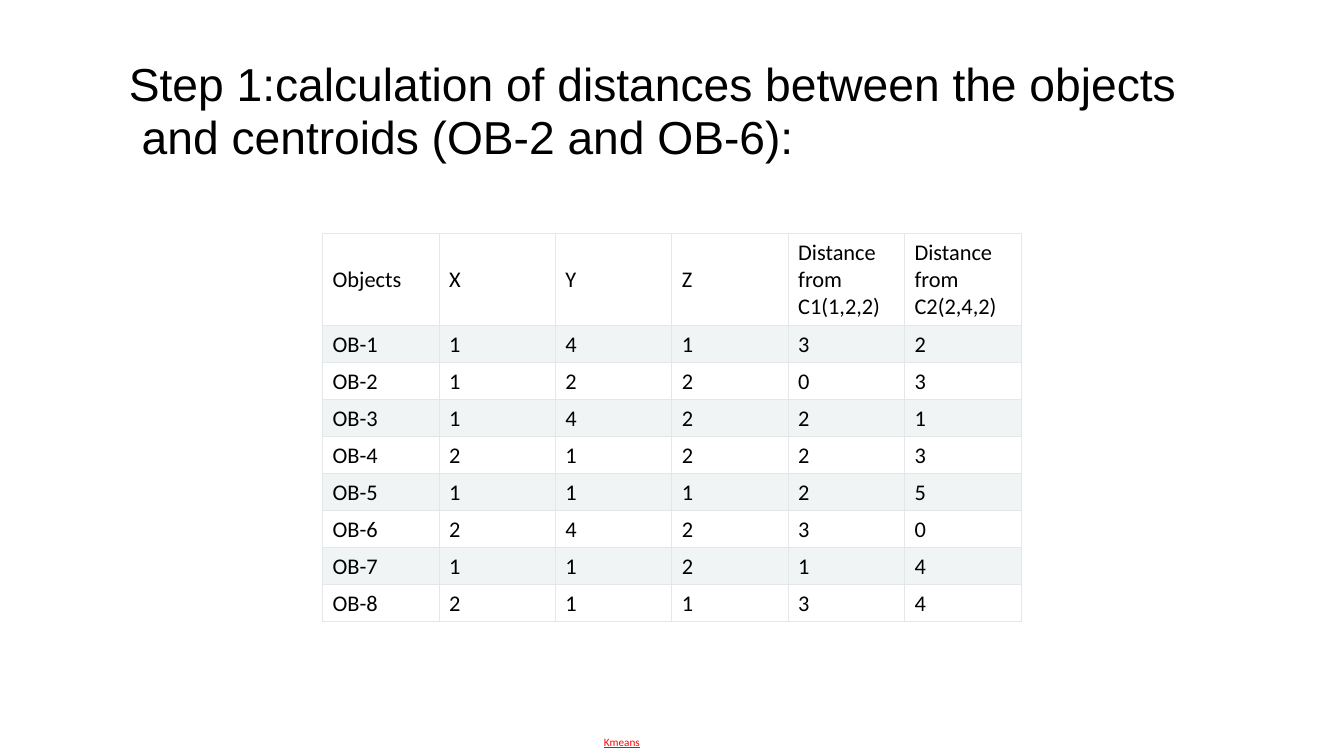
"""Build the K-means step 1 slide with its distance table."""
from lxml import etree
from pptx import Presentation
from pptx.dml.color import RGBColor
from pptx.enum.text import MSO_ANCHOR, PP_ALIGN
from pptx.oxml.ns import qn
from pptx.util import Cm, Pt

MIDDLE = MSO_ANCHOR.MIDDLE
LEFT, CENTER = PP_ALIGN.LEFT, PP_ALIGN.CENTER
BLACK = RGBColor(0x00, 0x00, 0x00)
WHITE = RGBColor(0xFF, 0xFF, 0xFF)
RED = RGBColor(0xFF, 0x00, 0x00)
BAND = RGBColor(0xF0, 0xF4, 0xF5)
BORDER = RGBColor(0xE3, 0xE7, 0xE8)

TITLE = "Step 1:calculation of distances between the objects\n and centroids (OB-2 and OB-6):"
HEADERS = ["Objects", "X", "Y", "Z", "Distance from C1(1,2,2)", "Distance from C2(2,4,2)"]
DISTANCES = [
    (1, 4, 1, 3, 2),
    (1, 2, 2, 0, 3),
    (1, 4, 2, 2, 1),
    (2, 1, 2, 2, 3),
    (1, 1, 1, 2, 5),
    (2, 4, 2, 3, 0),
    (1, 1, 2, 1, 4),
    (2, 1, 1, 3, 4),
]


def write_text(tf, text, size=16, font="Calibri", color=BLACK, align=LEFT,
               underline=None, spacing=None):
    """Write one formatted paragraph into a text frame."""
    tf.word_wrap = True
    p = tf.paragraphs[0]
    p.text = text.replace("\n", "\v")
    p.alignment = align
    p.line_spacing = spacing
    for r in p.runs:
        r.font.size = Pt(size)
        r.font.name = font
        r.font.color.rgb = color
        r.font.underline = underline


def add_title(s, x, y, w, h):
    """Add the two-line title in the upper part of its box."""
    tf = s.shapes.add_textbox(x, y, w, h).text_frame
    tf.vertical_anchor = MIDDLE
    tf.margin_bottom = Cm(1.4)
    write_text(tf, TITLE, size=33, font="Arial", spacing=0.94)


def set_borders(cell):
    """Give a table cell thin lines on all four sides."""
    props = cell._tc.get_or_add_tcPr()
    for i, side in enumerate(("a:lnL", "a:lnR", "a:lnT", "a:lnB")):
        ln = etree.Element(qn(side), w=str(Pt(0.6)))
        fill = etree.SubElement(ln, qn("a:solidFill"))
        etree.SubElement(fill, qn("a:srgbClr"), val=str(BORDER))
        props.insert(i, ln)


def add_distance_table(s, x, y, w, h):
    """Add the banded table of objects and their distances."""
    rows = [HEADERS] + [(f"OB-{i}", *row) for i, row in enumerate(DISTANCES, 1)]
    table = s.shapes.add_table(len(rows), len(HEADERS), x, y, w, h).table
    table.first_row = table.horz_banding = False
    header_h = Cm(2.32)
    for col in table.columns:
        col.width = w // len(HEADERS)
    for i, row in enumerate(rows):
        table.rows[i].height = (h - header_h) // len(DISTANCES) if i else header_h
        for j, value in enumerate(row):
            cell = table.cell(i, j)
            cell.vertical_anchor = MIDDLE
            cell.fill.solid()
            cell.fill.fore_color.rgb = BAND if i % 2 else WHITE
            set_borders(cell)
            write_text(cell.text_frame, str(value))


def add_footer(s, x, y, w, h):
    """Add the small centred footer."""
    tf = s.shapes.add_textbox(x, y, w, h).text_frame
    tf.vertical_anchor = MIDDLE
    write_text(tf, "Kmeans", size=8, color=RED, align=CENTER, underline=True)


def main():
    """Build and save the slide."""
    prs = Presentation()
    prs.slide_width, prs.slide_height = Cm(33.87), Cm(19.05)
    s = prs.slides.add_slide(prs.slide_layouts[6])
    add_title(s, Cm(3), Cm(1.88), Cm(32.26), Cm(3.18))
    add_distance_table(s, Cm(8.13), Cm(5.89), Cm(17.6), Cm(9.68))
    add_footer(s, Cm(9.96), Cm(18.19), Cm(11.43), Cm(1.02))
    prs.save("out.pptx")


if __name__ == "__main__":
    main()
